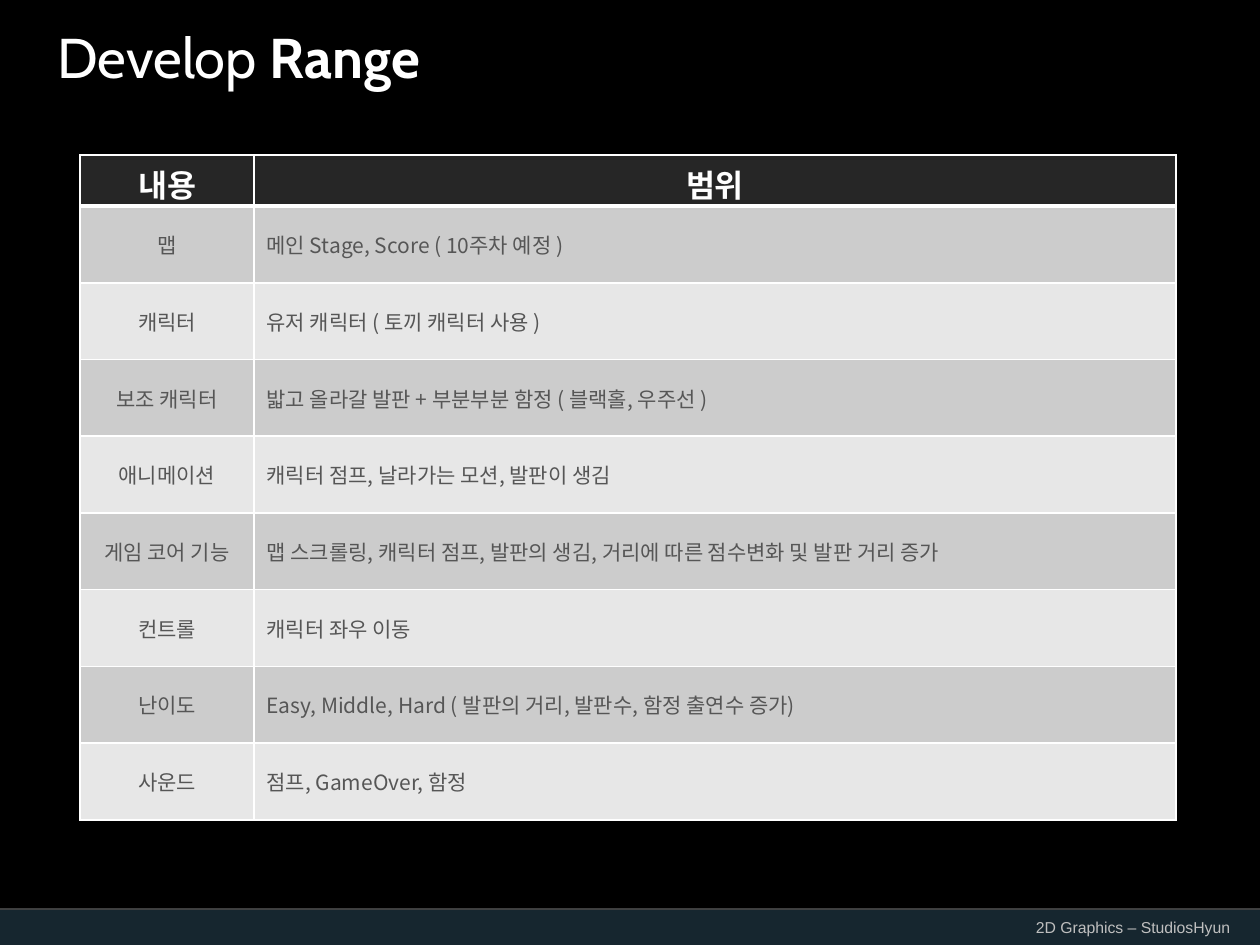
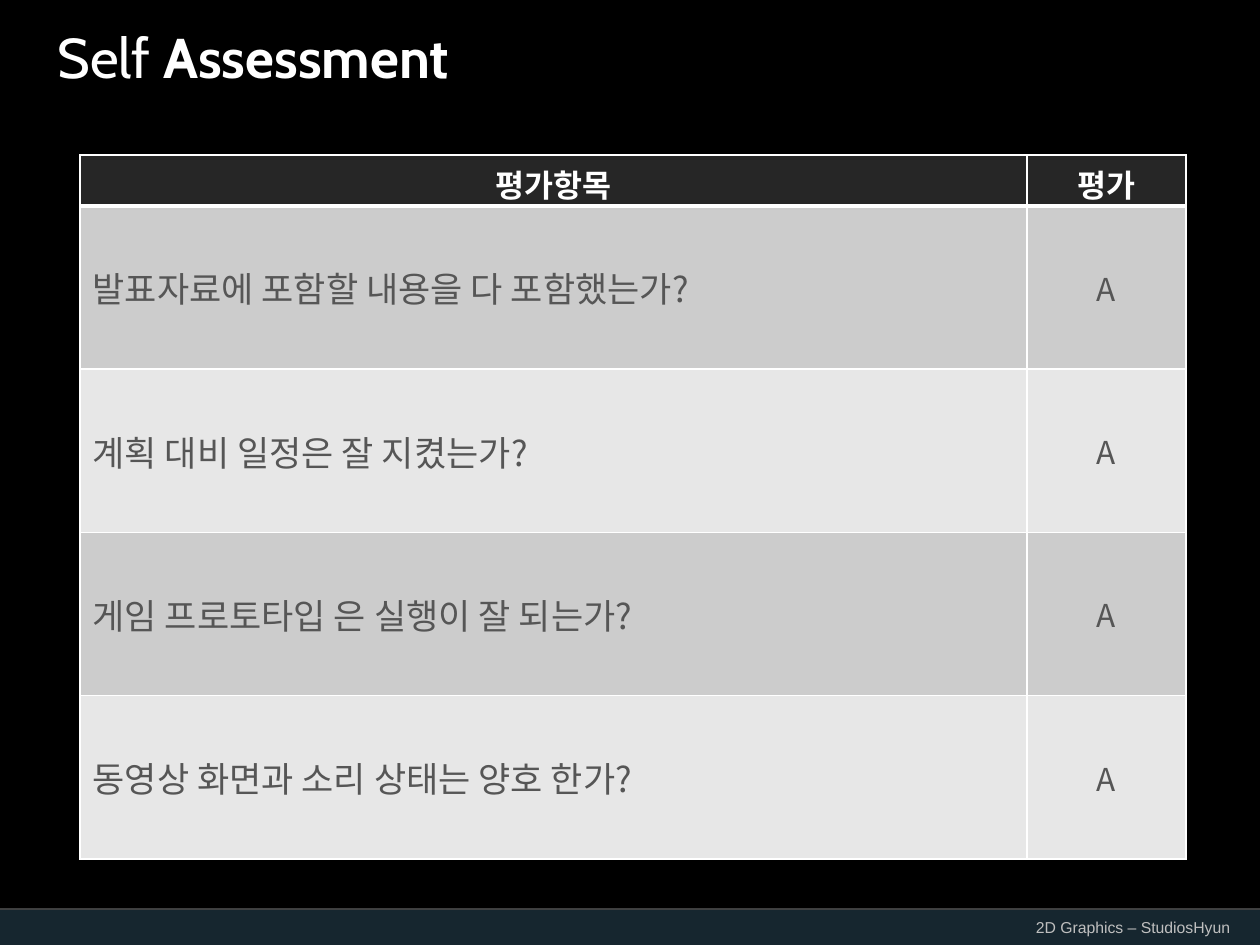
"""Build the range and self-assessment slides of a 2D game project."""
import pptx
import pptx.dml.color
import pptx.enum.shapes
import pptx.enum.text
import pptx.oxml
import pptx.oxml.ns
import pptx.util

ALIGN = pptx.enum.text.PP_ALIGN
ANCHOR = pptx.enum.text.MSO_ANCHOR
NS = pptx.oxml.ns.nsdecls("a")


def px(n):
    return pptx.util.Emu(round(n * 914400 / 126))


def rgb(code):
    return pptx.dml.color.RGBColor.from_string(code)


def write(tf, *parts, size, font, color, align=ALIGN.LEFT, bold=()):
    p = tf.paragraphs[0]
    p.alignment = align
    for i, part in enumerate(parts):
        r = p.add_run()
        r.text = part
        r.font.size = pptx.util.Pt(size)
        r.font.name = font
        r.font.bold = i in bold
        r.font.color.rgb = rgb(color)
        r.font._element.append(pptx.oxml.parse_xml(f'<a:ea {NS} typeface="{font}"/>'))


class Deck:
    WHITE, BLACK, GRAY = "FFFFFF", "000000", "565656"
    HEADER, BANDS = "262626", ("CCCCCC", "E7E7E7")
    FOOTER, RULE, FOOTER_TEXT = "16262F", "F2F2F2", "BFBFBF"
    TITLE_FONT, TABLE_FONT, FOOTER_FONT = "Cabin", "Noto Sans CJK KR", "Arial"
    HEADER_HEIGHT = 51

    def __init__(self):
        self.prs = pptx.Presentation()
        self.prs.slide_width, self.prs.slide_height = px(1260), px(945)
        self.s = None

    def slide(self, light, strong):
        self.s = self.prs.slides.add_slide(self.prs.slide_layouts[6])
        fill = self.s.background.fill
        fill.solid()
        fill.fore_color.rgb = rgb(self.BLACK)
        self.band(0, 910, 1260, 35)
        self.rule(0, 909, 1260)
        self.text(1007, 911, 252, 32, "2D Graphics – StudiosHyun", size=9,
                  font=self.FOOTER_FONT, color=self.FOOTER_TEXT, align=ALIGN.CENTER)
        self.text(45, 16, 910, 81, light, strong, size=32,
                  font=self.TITLE_FONT, color=self.WHITE, bold=(1,))

    def band(self, x, y, w, h):
        sp = self.s.shapes.add_shape(pptx.enum.shapes.MSO_SHAPE.RECTANGLE,
                                     px(x), px(y), px(w), px(h))
        sp.shadow.inherit = False
        sp.fill.solid()
        sp.fill.fore_color.rgb = rgb(self.FOOTER)
        sp.line.fill.background()

    def rule(self, x, y, w):
        line = self.s.shapes.add_connector(pptx.enum.shapes.MSO_CONNECTOR.STRAIGHT,
                                           px(x), px(y), px(x + w), px(y))
        line.line.width = pptx.util.Pt(0.75)
        line.line.color.rgb = rgb(self.RULE)
        clr = line._element.spPr.find(".//" + pptx.oxml.ns.qn("a:srgbClr"))
        clr.append(pptx.oxml.parse_xml(f'<a:alpha {NS} val="40000"/>'))
        line._element.spPr.append(pptx.oxml.parse_xml(f"<a:effectLst {NS}/>"))

    def text(self, x, y, w, h, *parts, **style):
        tf = self.s.shapes.add_textbox(px(x), px(y), px(w), px(h)).text_frame
        tf.word_wrap = True
        tf.vertical_anchor = ANCHOR.MIDDLE
        write(tf, *parts, **style)

    def cell(self, cell, text, fill, top=1, bottom=1, **style):
        tc_pr = cell._tc.get_or_add_tcPr()
        for side, width in (("L", 1), ("R", 1), ("T", top), ("B", bottom)):
            tc_pr.append(pptx.oxml.parse_xml(
                f'<a:ln{side} {NS} w="{pptx.util.Pt(width)}"><a:solidFill>'
                f'<a:srgbClr val="{self.WHITE}"/></a:solidFill></a:ln{side}>'))
        cell.fill.solid()
        cell.fill.fore_color.rgb = rgb(fill)
        write(cell.text_frame, text, font=self.TABLE_FONT, **style)

    def table(self, x, y, h, widths, headers, rows, sizes, aligns):
        tbl = self.s.shapes.add_table(len(rows) + 1, len(widths),
                                      px(x), px(y), px(sum(widths)), px(h)).table
        tbl.first_row = tbl.horz_banding = False
        for col, width in zip(tbl.columns, widths):
            col.width = px(width)
        for row in tbl.rows:
            row.height = px((h - self.HEADER_HEIGHT) / len(rows))
        tbl.rows[0].height = px(self.HEADER_HEIGHT)
        for j, header in enumerate(headers):
            self.cell(tbl.cell(0, j), header, self.HEADER, bottom=3, size=18,
                      color=self.WHITE, align=ALIGN.CENTER, bold=(0,))
            tbl.cell(0, j).margin_bottom = 0
        for i, row in enumerate(rows):
            for j, value in enumerate(row):
                cell = tbl.cell(i + 1, j)
                cell.vertical_anchor = ANCHOR.MIDDLE
                self.cell(cell, value, self.BANDS[i % 2], top=1 if i else 3,
                          size=sizes[j], color=self.GRAY, align=aligns[j])


RANGE = [
    ("맵", "메인 Stage, Score ( 10주차 예정 )"),
    ("캐릭터", "유저 캐릭터 ( 토끼 캐릭터 사용 )"),
    ("보조 캐릭터", "밟고 올라갈 발판 + 부분부분 함정 ( 블랙홀, 우주선 )"),
    ("애니메이션", "캐릭터 점프, 날라가는 모션, 발판이 생김"),
    ("게임 코어 기능", "맵 스크롤링, 캐릭터 점프, 발판의 생김, 거리에 따른 점수변화 및 발판 거리 증가"),
    ("컨트롤", "캐릭터 좌우 이동"),
    ("난이도", "Easy, Middle, Hard ( 발판의 거리, 발판수, 함정 출연수 증가)"),
    ("사운드", "점프, GameOver, 함정"),
]
ASSESSMENT = [
    ("발표자료에 포함할 내용을 다 포함했는가?", "A"),
    ("계획 대비 일정은 잘 지켰는가?", "A"),
    ("게임 프로토타입 은 실행이 잘 되는가?", "A"),
    ("동영상 화면과 소리 상태는 양호 한가?", "A"),
]


def main():
    deck = Deck()
    deck.slide("Develop ", "Range")
    deck.table(80, 155, 665, (174, 922), ("내용", "범위"), RANGE,
               sizes=(12, 12), aligns=(ALIGN.CENTER, ALIGN.LEFT))
    deck.slide("Self ", "Assessment")
    deck.table(80, 155, 704, (947, 159), ("평가항목", "평가"), ASSESSMENT,
               sizes=(20, 18), aligns=(ALIGN.LEFT, ALIGN.CENTER))
    deck.prs.save("out.pptx")


if __name__ == "__main__":
    main()
